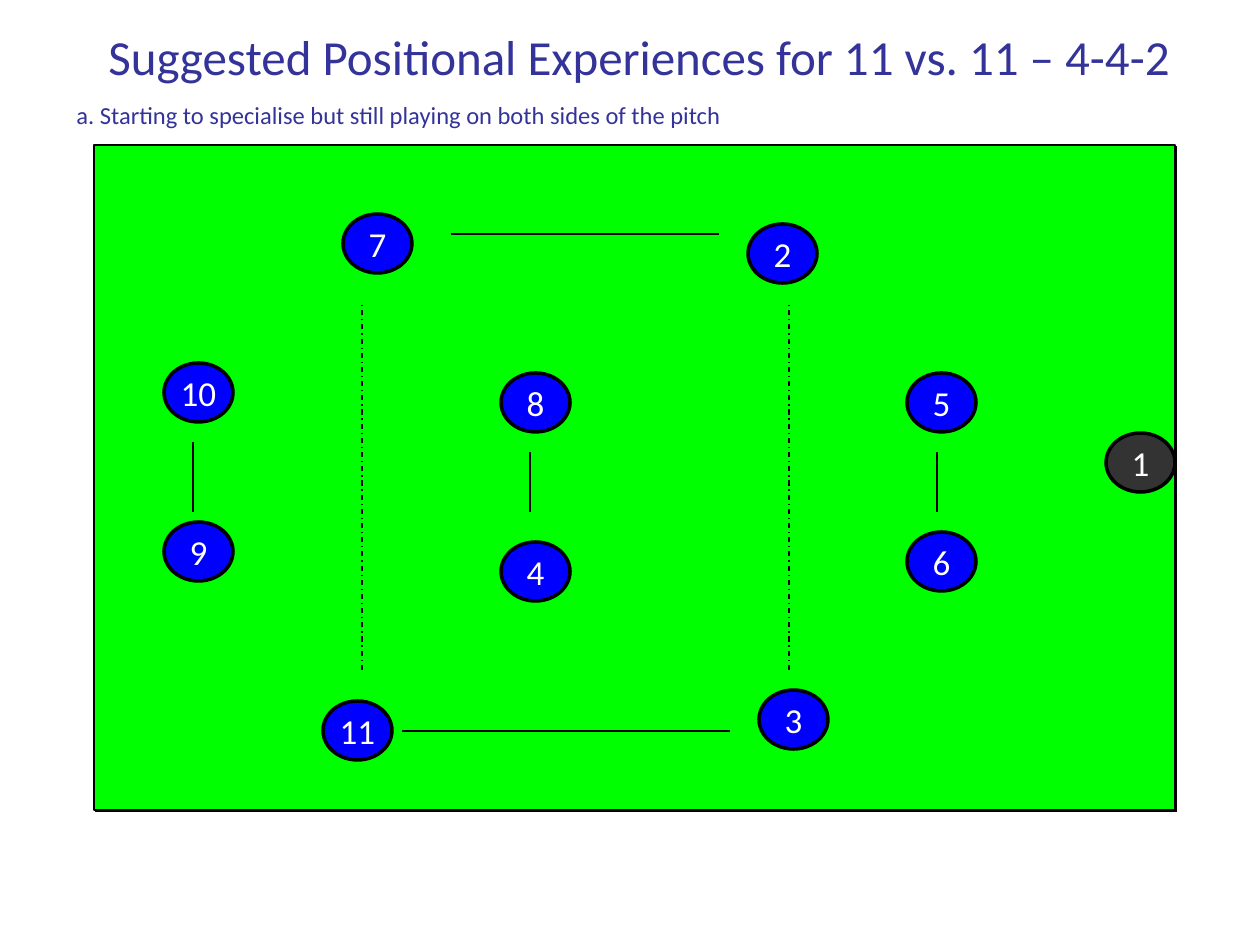
from lxml.etree import SubElement
from pptx import Presentation
from pptx.dml.color import RGBColor
from pptx.enum.dml import MSO_LINE_DASH_STYLE as Dash
from pptx.enum.shapes import MSO_CONNECTOR as Connector, MSO_SHAPE as Shape
from pptx.enum.text import MSO_ANCHOR as Anchor, MSO_AUTO_SIZE as AutoSize, PP_ALIGN as Align
from pptx.oxml.ns import qn
from pptx.util import Inches, Pt

EMU_PER_PX = Inches(1) / 126
COLORS = {
    "grass": "00FF00",
    "player": "0000FF",
    "keeper": "333333",
    "outline": "000000",
    "number": "FFFFFF",
    "heading": "333399",
}
PLAYER_SIZE = (69, 59)
# Shirt number: left, top
PLAYERS = {
    2: (748, 224), 3: (759, 690), 10: (164, 363), 5: (907, 373),
    6: (907, 532), 7: (343, 214), 8: (501, 373), 9: (164, 522),
    4: (501, 542), 11: (323, 701),
}
KEEPER = (1106, 433)
PARTNER_LINKS = [
    (530, 452, 530, 512), (402, 731, 730, 731), (451, 234, 719, 234),
    (937, 512, 937, 452), (193, 442, 193, 512),
]
FLANK_LINKS = [(x, 670, x, 304) for x in (362, 789)]


def px(*lengths):
    return [round(length * EMU_PER_PX) for length in lengths]


def rgb(name):
    return RGBColor.from_string(COLORS[name])


def add_shadow(effects):
    """Put a hard shadow, down and to the right, in an effect list."""
    shadow = SubElement(effects, qn("a:outerShdw"), dist=str(Pt(1.4)), dir="2700000",
                        algn="ctr", rotWithShape="0")
    SubElement(shadow, qn("a:srgbClr"), val=COLORS["outline"])


def write(paragraph, text, *, size, color, align=Align.LEFT, before=0, shadow=False):
    paragraph.alignment = align
    paragraph.space_before = Pt(before)
    run = paragraph.add_run()
    run.text = text
    run.font.size = Pt(size)
    run.font.name = "Calibri"
    run.font.color.rgb = rgb(color)
    if shadow:
        properties = run.font._element
        effects = SubElement(properties, qn("a:effectLst"))
        properties.find(qn("a:solidFill")).addnext(effects)
        add_shadow(effects)


class PitchSlide:
    def __init__(self, slide):
        self.shapes = slide.shapes

    def outlined(self, kind, box, fill, width):
        shape = self.shapes.add_shape(kind, *px(*box))
        shape.fill.solid()
        shape.fill.fore_color.rgb = rgb(fill)
        shape.line.color.rgb = rgb("outline")
        shape.line.width = Pt(width)
        shape.shadow.inherit = False
        return shape

    def pitch(self, *box):
        field = self.outlined(Shape.RECTANGLE, box, "grass", 0.75)
        add_shadow(field._element.spPr.find(qn("a:effectLst")))

    def player(self, number, position, fill="player"):
        marker = self.outlined(Shape.OVAL, (*position, *PLAYER_SIZE), fill, 2)
        frame = marker.text_frame
        frame.word_wrap = False
        frame.vertical_anchor = Anchor.MIDDLE
        write(frame.paragraphs[0], str(number), size=20, color="number", align=Align.CENTER)

    def link(self, ends, dash=None):
        link = self.shapes.add_connector(Connector.STRAIGHT, *px(*ends))
        link.line.color.rgb = rgb("outline")
        link.line.width = Pt(0.75)
        if dash:
            link.line.dash_style = dash
        SubElement(link._element.spPr, qn("a:effectLst"))

    def heading(self, box, title, subtitle):
        frame = self.shapes.add_textbox(*px(*box)).text_frame
        frame.word_wrap = True
        frame.auto_size = AutoSize.SHAPE_TO_FIT_TEXT
        write(frame.paragraphs[0], title, size=28, color="heading",
              align=Align.CENTER, before=17.5, shadow=True)
        write(frame.add_paragraph(), subtitle, size=14, color="heading",
              before=8.8, shadow=True)


def main():
    deck = Presentation()
    deck.slide_width, deck.slide_height = Inches(10), Inches(7.5)
    formation = PitchSlide(deck.slides.add_slide(deck.slide_layouts[6]))

    formation.pitch(94, 145, 1081, 665)
    for number, position in PLAYERS.items():
        formation.player(number, position)
    formation.player(1, KEEPER, fill="keeper")
    formation.heading((64, 20, 1150, 116),
                      "Suggested Positional Experiences for 11 vs. 11 – 4-4-2",
                      "a. Starting to specialise but still playing on both sides of the pitch")
    for ends in PARTNER_LINKS:
        formation.link(ends)
    for ends in FLANK_LINKS:
        formation.link(ends, Dash.DASH_DOT)

    deck.save("out.pptx")


if __name__ == "__main__":
    main()
